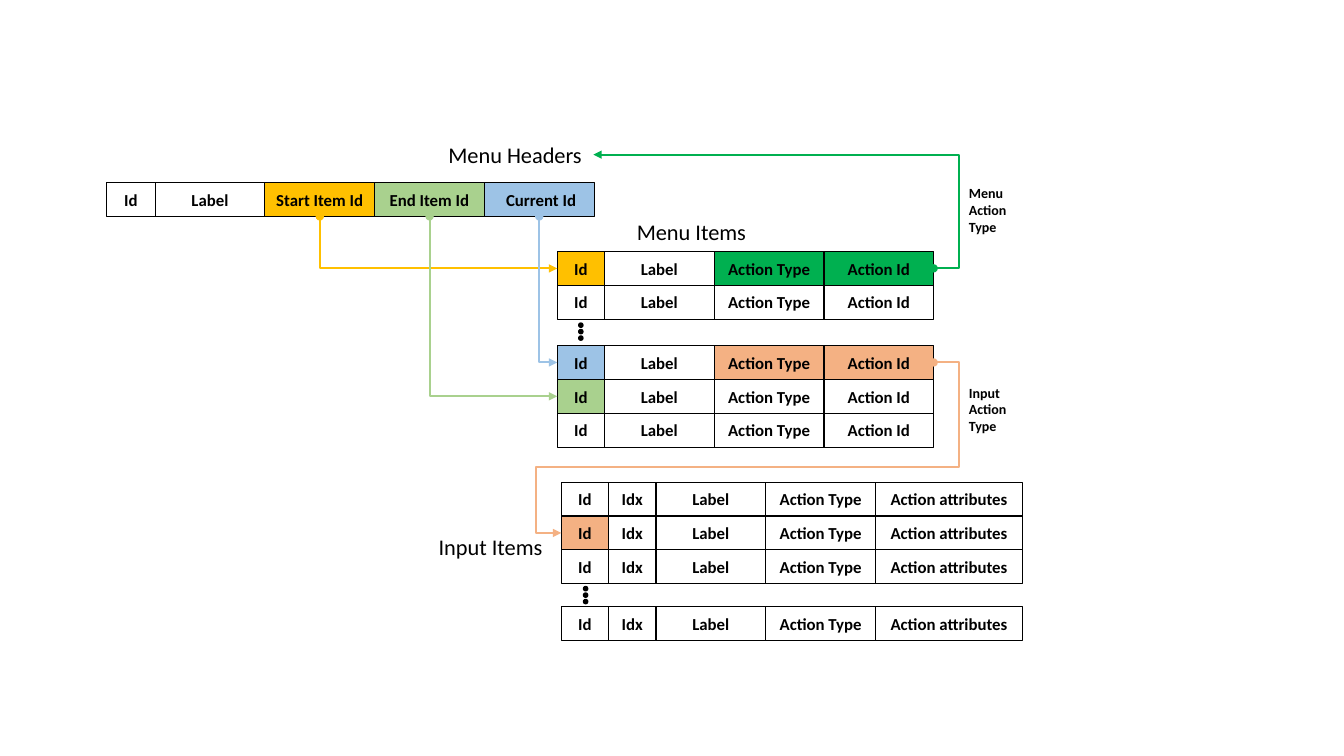
from dataclasses import dataclass
from itertools import accumulate

from lxml.etree import SubElement
from pptx import Presentation
from pptx.dml.color import RGBColor
from pptx.enum.shapes import MSO_CONNECTOR, MSO_SHAPE
from pptx.enum.text import MSO_ANCHOR, MSO_AUTO_SIZE, PP_ALIGN
from pptx.oxml.ns import qn
from pptx.util import Pt


@dataclass(frozen=True)
class Theme:
    font: str = "Calibri"
    black: str = "000000"
    gold: str = "FFC000"
    lime: str = "A9D18E"
    blue: str = "9DC3E6"
    green: str = "00B050"
    peach: str = "F4B183"
    title: float = 16
    body: float = 12
    note: float = 10
    border: float = 0.75
    wire: float = 1.5


# Connection sites of a rectangle
LEFT, BOTTOM, RIGHT = 1, 2, 3


class Board:
    def __init__(self, slide, theme):
        self.slide = slide
        self.theme = theme

    def style(self, frame, size, bold):
        for para in frame.paragraphs:
            for run in para.runs:
                run.font.name = self.theme.font
                run.font.size = Pt(size)
                run.font.bold = bold
                run.font.color.rgb = RGBColor.from_string(self.theme.black)

    def paint(self, shape, fill, width):
        shape.shadow.inherit = False
        if fill:
            shape.fill.solid()
            shape.fill.fore_color.rgb = RGBColor.from_string(fill)
        else:
            shape.fill.background()
        shape.line.color.rgb = RGBColor.from_string(self.theme.black)
        shape.line.width = Pt(width)

    def label(self, text, x, y, w, h, size, bold=False):
        box = self.slide.shapes.add_textbox(Pt(x), Pt(y), Pt(w), Pt(h))
        frame = box.text_frame
        frame.paragraphs[0].text = text
        frame.word_wrap = False
        frame.auto_size = MSO_AUTO_SIZE.SHAPE_TO_FIT_TEXT
        self.style(frame, size, bold)
        return box

    def group(self):
        return self.slide.shapes.add_group_shape()

    def cell(self, group, text, x, y, w, h, fill):
        box = group.shapes.add_shape(
            MSO_SHAPE.RECTANGLE, Pt(x), Pt(y), Pt(w), Pt(h))
        self.paint(box, fill, self.theme.border)
        frame = box.text_frame
        frame.text = text
        frame.word_wrap = True
        frame.margin_left = frame.margin_right = Pt(3)
        frame.vertical_anchor = MSO_ANCHOR.MIDDLE
        frame.paragraphs[0].alignment = PP_ALIGN.CENTER
        self.style(frame, self.theme.body, True)
        return box

    def row(self, group, names, widths, x, y, h, fills):
        lefts = accumulate(widths[:-1], initial=x)
        return [self.cell(group, name, left, y, w, h, fills.get(col))
                for col, (name, left, w) in enumerate(zip(names, lefts, widths))]

    def dots(self, group, x, y, gap, size=3):
        for step in range(3):
            dot = group.shapes.add_shape(
                MSO_SHAPE.OVAL, Pt(x), Pt(y + step * gap), Pt(size), Pt(size))
            self.paint(dot, self.theme.black, 1)

    def wire(self, start, site, end, goal, color, kind, bends=()):
        link = self.slide.shapes.add_connector(MSO_CONNECTOR.ELBOW, 0, 0, 0, 0)
        link.begin_connect(start, site)
        link.end_connect(end, goal)
        link.line.color.rgb = RGBColor.from_string(color)
        link.line.width = Pt(self.theme.wire)
        props = link._element.spPr
        line = props.find(qn("a:ln"))
        SubElement(line, qn("a:headEnd"), type="oval")
        SubElement(line, qn("a:tailEnd"), type="triangle")
        SubElement(props, qn("a:effectLst"))
        geom = props.find(qn("a:prstGeom"))
        geom.set("prst", kind)
        guides = geom.find(qn("a:avLst"))
        for num, bend in enumerate(bends, 1):
            SubElement(guides, qn("a:gd"), name=f"adj{num}", fmla=f"val {bend}")
        return link

    def drop(self, start, end, color):
        """Run down from a cell, then right into another."""
        link = self.wire(start, BOTTOM, end, LEFT, color, "bentConnector2")
        x, y, run, fall = link.left, link.top, link.width, link.height
        link.left, link.top = x + (run - fall) // 2, y + (fall - run) // 2
        link.width, link.height = fall, run
        frame = link._element.spPr.find(qn("a:xfrm"))
        frame.set("rot", "16200000")
        frame.set("flipH", "1")


def main():
    deck = Presentation()
    deck.slide_width, deck.slide_height = Pt(960), Pt(540)
    theme = Theme()
    board = Board(deck.slides.add_slide(deck.slide_layouts[6]), theme)
    high, wide, slim = 24.2, 78.4, 33.8

    # Menu headers
    title = board.label("Menu Headers", 313.2, 97.2, 110.7, 26.6, theme.title)
    head = board.row(
        board.group(),
        ["Id", "Label", "Start Item Id", "End Item Id", " Current Id"],
        [34.6] + [wide] * 4, 76.2, 130.4, high,
        {2: theme.gold, 3: theme.lime, 4: theme.blue})

    # Menu items
    board.label("Menu Items", 447.8, 152.6, 93.6, 26.6, theme.title)
    group = board.group()
    names = ["Id", "Label", "Action Type", "Action Id"]
    tops = [179.6 + high * i for i in range(2)]
    tops += [246.8 + high * i for i in range(3)]
    fills = [{0: theme.gold, 2: theme.green, 3: theme.green}, {},
             {0: theme.blue, 2: theme.peach, 3: theme.peach},
             {0: theme.lime}, {}]
    items = [board.row(group, names, [slim] + [wide] * 3, 398, top, high, fill)
             for top, fill in zip(tops, fills)]
    board.dots(group, 413.4, 230.8, 4.6)

    # Input items
    board.label("Input Items", 306.2, 377.4, 89.3, 26.6, theme.title)
    group = board.group()
    names = ["Id", "Idx", "Label", "Action Type", "Action attributes"]
    tops = [344.4 + high * i for i in range(3)] + [433.2]
    fills = [{}, {0: theme.peach}, {}, {}]
    inputs = [board.row(group, names, [slim, slim, wide, wide, 105],
                        401, top, high, fill)
              for top, fill in zip(tops, fills)]
    board.dots(group, 416.8, 419, 4.6)

    # Links from headers to items
    board.drop(head[2], items[0][0], theme.gold)
    board.drop(head[3], items[3][0], theme.lime)
    board.drop(head[4], items[2][0], theme.blue)

    # Links by action type
    board.wire(items[0][3], RIGHT, title, RIGHT, theme.green,
               "bentConnector3", [-7400])
    board.wire(items[2][3], RIGHT, inputs[1][0], LEFT, theme.peach,
               "bentConnector5", [-6800, 61100, 106800])
    for word, top in (("Menu", 128.2), ("Input", 270.8)):
        board.label(f"{word}\nAction\nType", 685, top, 41.8, 43.9,
                    theme.note, True)

    deck.save("out.pptx")


if __name__ == "__main__":
    main()
